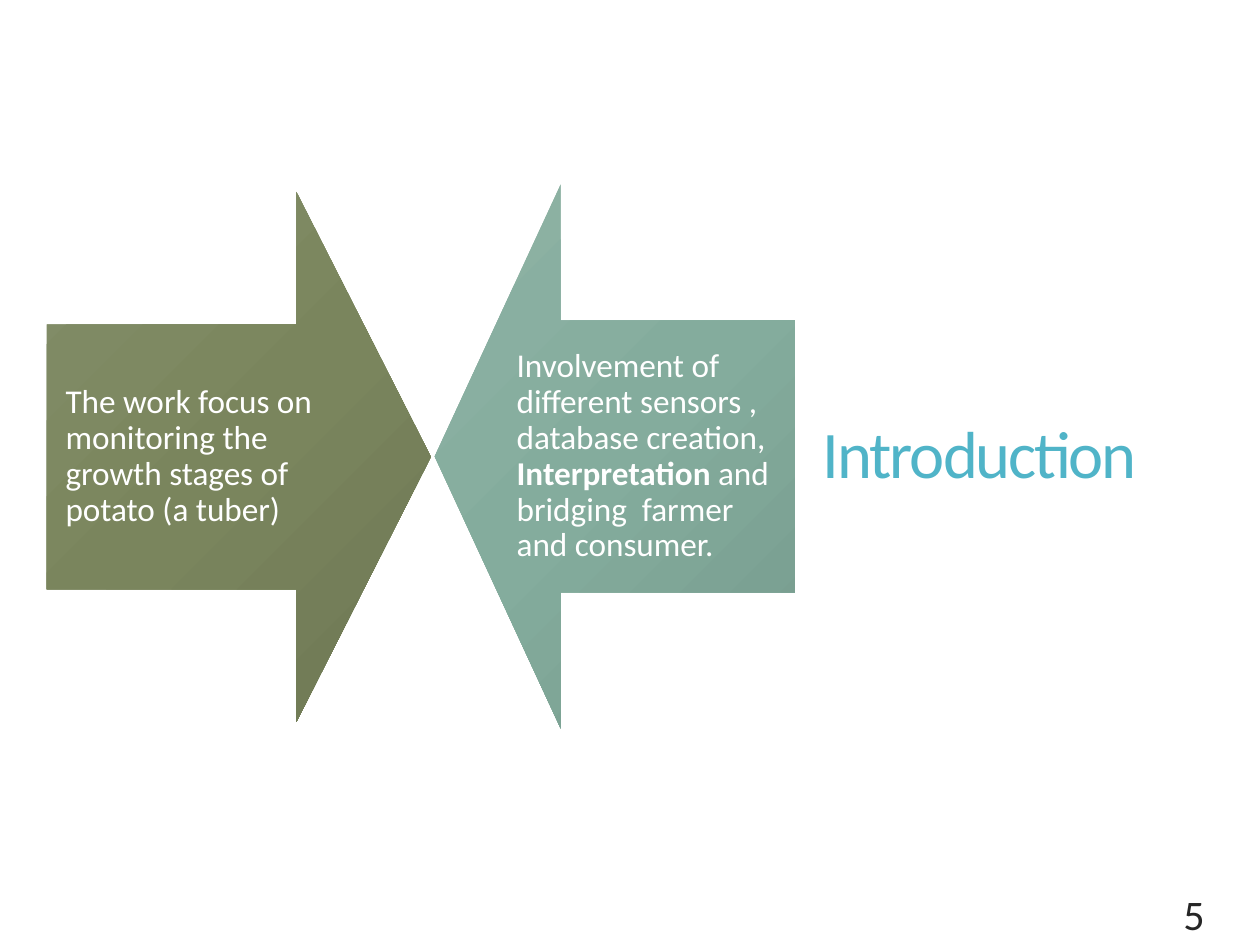
import copy
import pptx
import pptx.util
import pptx.dml.color
import pptx.enum.shapes
import pptx.enum.text
import pptx.oxml.ns

Pt = pptx.util.Pt
RGB = pptx.dml.color.RGBColor
Kind = pptx.enum.shapes.MSO_SHAPE
Anchor = pptx.enum.text.MSO_ANCHOR
Align = pptx.enum.text.PP_ALIGN
qn = pptx.oxml.ns.qn

WIDE, HIGH = pptx.util.Inches(10), pptx.util.Inches(7.5)
FACE = "Calibri"
TEAL = RGB(0x50, 0xB4, 0xC8)
WHITE = RGB(0xFF, 0xFF, 0xFF)
INK = RGB(0x26, 0x26, 0x26)
OLIVE = [RGB(0x83, 0x8E, 0x69), RGB(0x7A, 0x85, 0x5D), RGB(0x6E, 0x77, 0x54)]
SAGE = [RGB(0x8E, 0xB2, 0xA4), RGB(0x84, 0xAC, 0x9D), RGB(0x76, 0x9B, 0x8D)]


def scale(x, y, w, h):
    return [round(v) for v in (x * WIDE, y * HIGH, w * WIDE, h * HIGH)]


def write(frame, runs, size, color, anchor, align=Align.LEFT):
    frame.word_wrap = True
    frame.auto_size = pptx.enum.text.MSO_AUTO_SIZE.NONE
    frame.vertical_anchor = anchor
    para = frame.paragraphs[0]
    para.alignment = align
    para.font.name, para.font.size = FACE, Pt(size)
    para.font.color.rgb = color
    for text, bold in runs:
        run = para.add_run()
        run.text = text
        if bold:
            run.font.bold = True
    return para


def shade(shape, tones):
    shape.fill.gradient()
    shape.fill.gradient_angle = 315
    stops = shape._element.spPr.find(qn("a:gradFill")).find(qn("a:gsLst"))
    stops.insert(1, copy.deepcopy(stops[0]))
    for i, (stop, tone) in enumerate(zip(shape.fill.gradient_stops, tones)):
        stop.color.rgb = tone
        stop.position = i / 2


def arrow(slide, box, kind, tones, inset, share, runs):
    x, y, w, h = box
    shape = slide.shapes.add_shape(kind, *scale(*box))
    shape.adjustments[0], shape.adjustments[1] = 0.5, 0.35
    shape.shadow.inherit = False
    shape.line.fill.background()
    shade(shape, tones)
    area = scale(x + inset * w, y + h / 4, share * w, h / 2)
    frame = slide.shapes.add_textbox(*area).text_frame
    frame.margin_left = frame.margin_right = pptx.util.Inches(0.15)
    frame.margin_top = frame.margin_bottom = pptx.util.Inches(0.15)
    write(frame, runs, 19, WHITE, Anchor.MIDDLE).line_spacing = 0.9


def head(slide, box):
    title = slide.shapes.title
    title.left, title.top, title.width, title.height = scale(*box)
    para = write(title.text_frame, [("Introduction", False)], 38, TEAL, Anchor.MIDDLE)
    para.line_spacing = 0.9
    para.runs[0]._r.get_or_add_rPr().set("spc", "-120")


def number(slide, box):
    frame = slide.shapes.add_textbox(*scale(*box)).text_frame
    write(frame, [("5", False)], 24, INK, Anchor.BOTTOM, Align.RIGHT)


def main():
    deck = pptx.Presentation()
    deck.slide_width, deck.slide_height = WIDE, HIGH
    slide = deck.slides.add_slide(deck.slide_layouts[5])
    head(slide, (0.643, 0.073, 0.304, 0.821))
    arrow(slide, (0.037, 0.203, 0.305, 0.561), Kind.RIGHT_ARROW, OLIVE, 0, 0.825,
          [("The work focus on monitoring the growth stages of potato (a tuber)", False)])
    arrow(slide, (0.345, 0.195, 0.286, 0.576), Kind.LEFT_ARROW, SAGE, 0.175, 0.825,
          [("Involvement of different sensors , database creation, ", False),
           ("Interpretation", True),
           (" and bridging  farmer and consumer.", False)])
    number(slide, (0.726, 0.796, 0.24, 0.204))
    deck.save("out.pptx")


if __name__ == "__main__":
    main()
